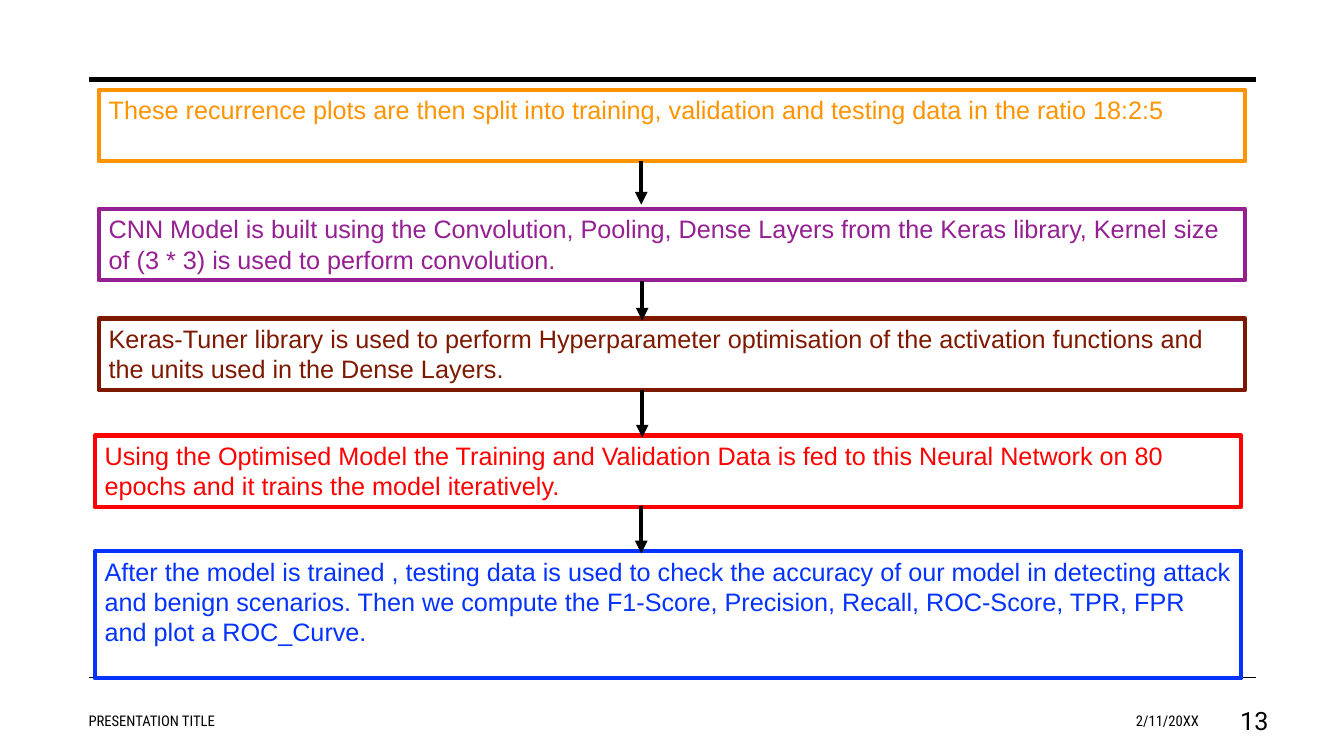
from dataclasses import dataclass

from lxml import etree
from pptx import Presentation
from pptx import util as u
from pptx.dml.color import RGBColor
from pptx.enum import shapes, text
from pptx.oxml.ns import qn


@dataclass(frozen=True)
class Theme:
    black: str = "000000"
    orange: str = "FF9300"
    purple: str = "942092"
    brown: str = "7E1900"
    red: str = "FF0000"
    blue: str = "0432FF"
    body_font: str = "Arial"
    footer_font: str = "Roboto Condensed"
    number_font: str = "Roboto"
    body_size: float = 18
    footer_size: float = 10.5
    outline: float = 3
    top_rule: float = 3.5
    bottom_rule: float = 1


class FlowSlide:
    def __init__(self, slide, theme):
        self.slide = slide
        self.theme = theme

    def fill_text(self, frame, wording, font, size, color,
                  align=text.PP_ALIGN.LEFT):
        frame.word_wrap = True
        paragraph = frame.paragraphs[0]
        paragraph.alignment = align
        run = paragraph.add_run()
        run.text = wording
        for name, value in {"name": font, "size": u.Pt(size)}.items():
            setattr(run.font, name, value)
        run.font.color.rgb = RGBColor.from_string(color)

    def line(self, start, end, width, arrow=False):
        connector = self.slide.shapes.add_connector(
            shapes.MSO_CONNECTOR.STRAIGHT, *map(u.Inches, start + end))
        connector.line.color.rgb = RGBColor.from_string(self.theme.black)
        connector.line.width = u.Pt(width)
        outline = connector.line.fill._xPr
        if arrow:
            etree.SubElement(outline, qn("a:tailEnd"), type="triangle")
        etree.SubElement(outline.getparent(), qn("a:effectLst"))

    def step(self, left, top, width, height, wording, color):
        box = self.slide.shapes.add_shape(
            shapes.MSO_SHAPE.RECTANGLE, *map(u.Inches, (left, top, width, height)))
        box.shadow.inherit = False
        box.fill.background()
        box.line.color.rgb = RGBColor.from_string(color)
        box.line.width = u.Pt(self.theme.outline)
        box.text_frame.vertical_anchor = text.MSO_ANCHOR.TOP
        self.fill_text(box.text_frame, wording, self.theme.body_font,
                       self.theme.body_size, color)

    def footer(self, left, width, wording, font, size, align):
        label = self.slide.shapes.add_textbox(
            *map(u.Inches, (left, 6.95, width, 0.4)))
        label.text_frame.vertical_anchor = text.MSO_ANCHOR.MIDDLE
        self.fill_text(label.text_frame, wording, font, size, self.theme.black, align)


def main():
    deck = Presentation()
    deck.slide_width, deck.slide_height = u.Inches(13.33), u.Inches(7.5)
    theme = Theme()
    flow = FlowSlide(deck.slides.add_slide(deck.slide_layouts[6]), theme)

    for rule_y, weight in ((0.79, theme.top_rule), (6.72, theme.bottom_rule)):
        flow.line((0.88, rule_y), (12.46, rule_y), weight)

    right = text.PP_ALIGN.RIGHT
    flow.footer(0.78, 4.96, "PRESENTATION TITLE", theme.footer_font,
                theme.footer_size, text.PP_ALIGN.LEFT)
    flow.footer(9.15, 2.84, "2/11/20XX", theme.footer_font, theme.footer_size, right)
    flow.footer(11.94, 0.74, "13", theme.number_font, theme.body_size, right)

    steps = (
        (0.98, 0.89, 0.71, theme.orange,
         "These recurrence plots are then split into training, validation and "
         "testing data in the ratio 18:2:5"),
        (0.98, 2.07, 0.71, theme.purple,
         "CNN Model is built using the Convolution, Pooling, Dense Layers from the "
         "Keras library, Kernel size of (3 * 3) is used to perform convolution."),
        (0.98, 3.16, 0.71, theme.brown,
         "Keras-Tuner library is used to perform Hyperparameter optimisation of the "
         "activation functions and the units used in the Dense Layers."),
        (0.94, 4.32, 0.71, theme.red,
         "Using the Optimised Model the Training and Validation Data is fed to this "
         "Neural Network on 80 epochs and it trains the model iteratively."),
        (0.94, 5.47, 1.26, theme.blue,
         "After the model is trained , testing data is used to check the accuracy of "
         "our model in detecting attack and benign scenarios. Then we compute the "
         "F1-Score, Precision, Recall, ROC-Score, TPR, FPR and plot a ROC_Curve."),
    )
    for left, top, height, color, wording in steps:
        flow.step(left, top, 11.37, height, wording, color)

    arrows = ((6.36, 1.6, 2.03), (6.37, 2.79, 3.18), (6.37, 3.87, 4.34), (6.36, 5.02, 5.49))
    for x, start_y, end_y in arrows:
        flow.line((x, start_y), (x, end_y), theme.outline, arrow=True)

    deck.save("out.pptx")


if __name__ == "__main__":
    main()
